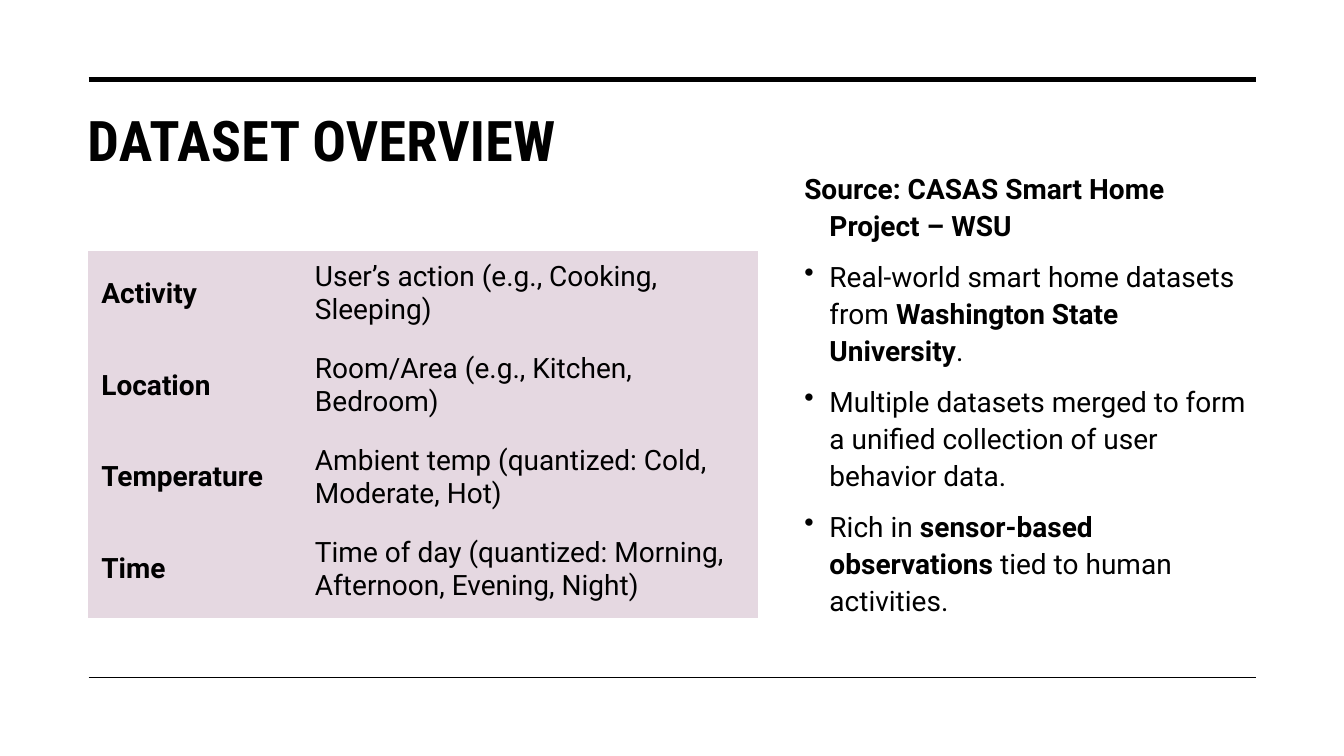
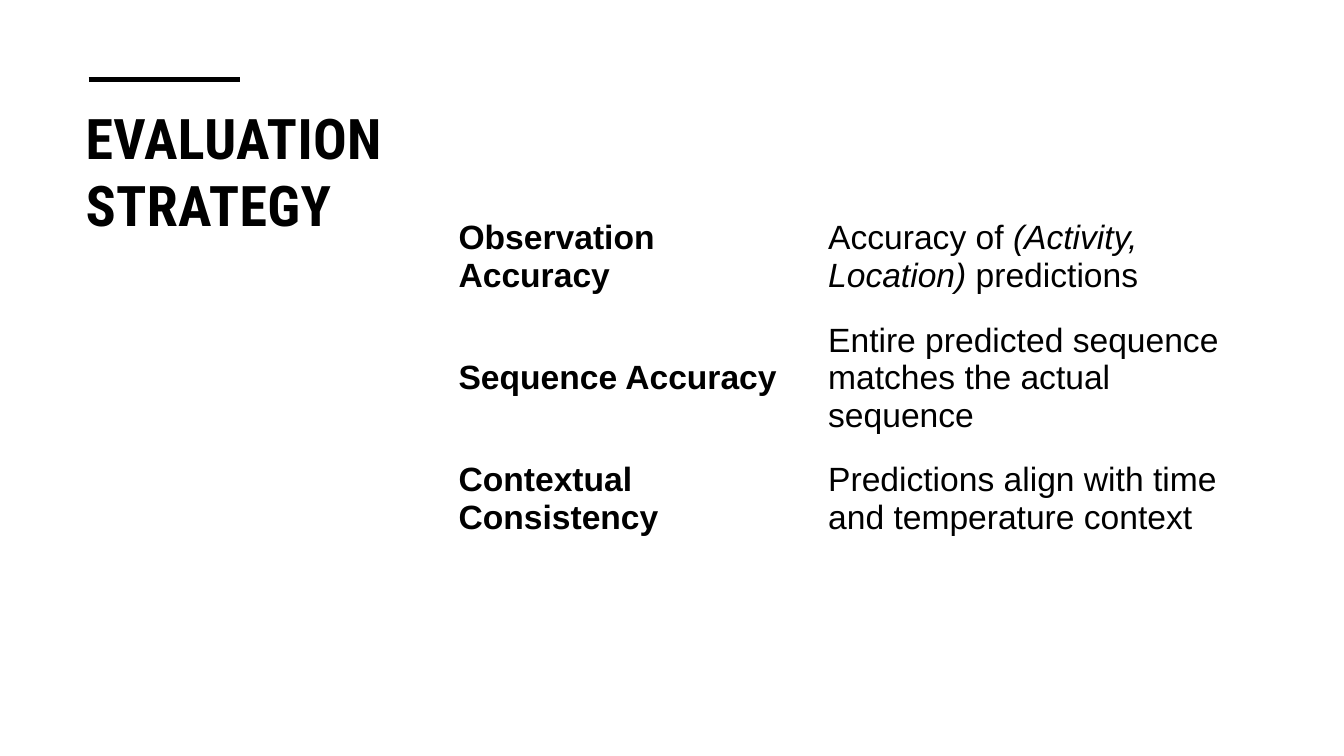
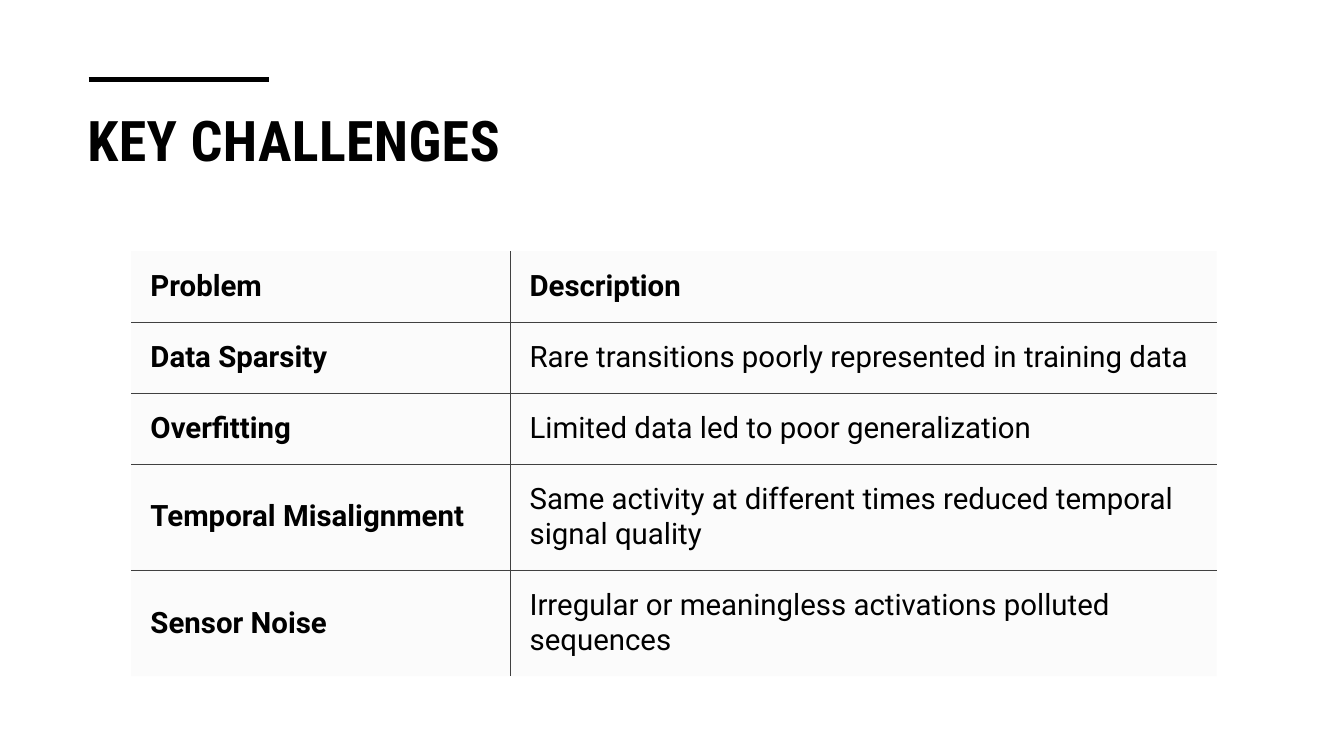
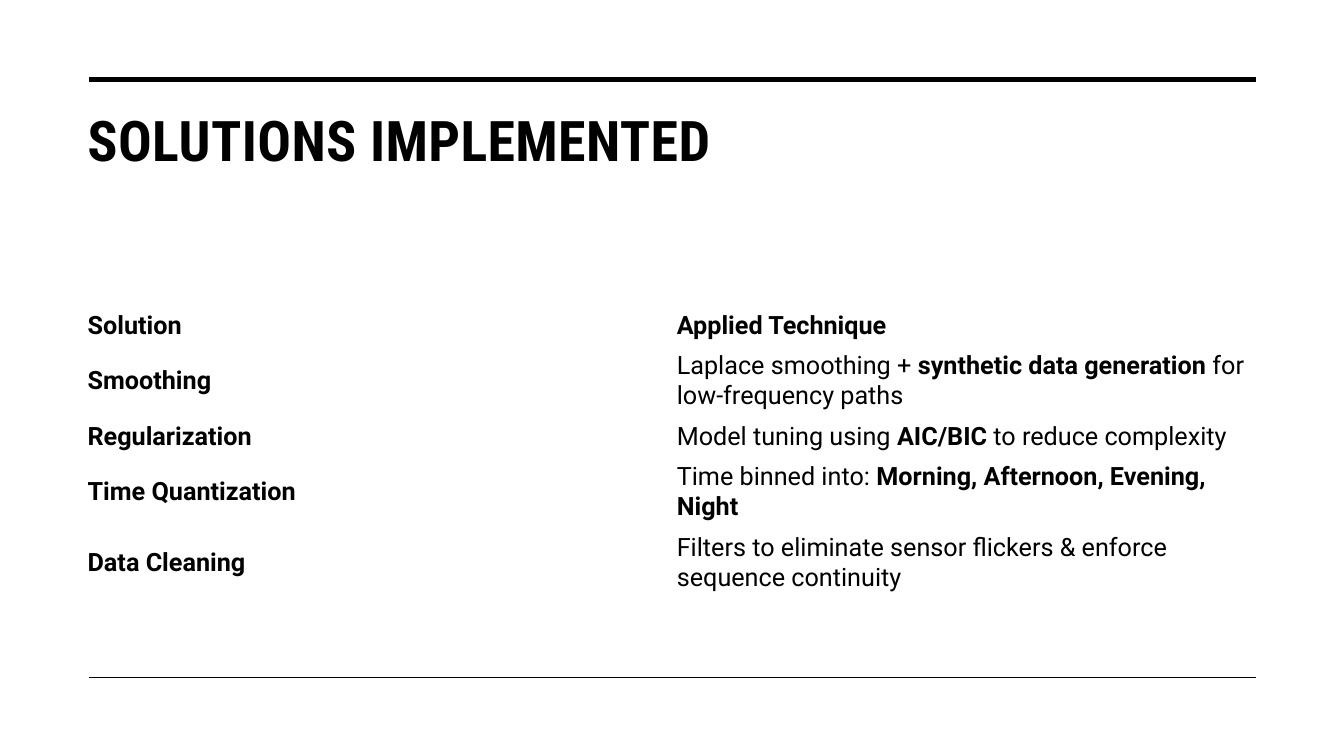
from lxml import etree
from pptx import Presentation
from pptx.dml.color import RGBColor
from pptx.enum import shapes, text
from pptx.oxml import ns
from pptx.util import Pt

# Shared look
BLACK = RGBColor(0x00, 0x00, 0x00)
MAUVE = RGBColor(0xE5, 0xD8, 0xE1)
LIGHT_GREY = RGBColor(0xF2, 0xF2, 0xF2)
GRID_GREY = RGBColor(0x40, 0x40, 0x40)
TITLE_FONT = "Roboto Condensed"
BODY_FONT = "Roboto"
PLAIN_FONT = "Arial"
NO_TABLE_STYLE = "{2D5ABB26-0587-4C30-8999-92F81FD0307C}"

LEFT, RIGHT = 63.4, 897.2
TOP_RULE, BOTTOM_RULE = 56.9, 483.8
TITLE_BOX = (55.4, 72, 841.7, 62.6)


def add_runs(paragraph, runs, font, size):
    """Add (words, style) runs; the style is "", "b" or "i"."""
    for words, style in runs:
        run = paragraph.add_run()
        run.text = words
        run.font.name = font
        run.font.size = Pt(size)
        run.font.color.rgb = BLACK
        run.font.bold = style == "b"
        run.font.italic = style == "i"


def add_rule(slide, right, y, weight):
    rule = slide.shapes.add_connector(
        shapes.MSO_CONNECTOR.STRAIGHT, Pt(LEFT), Pt(y), Pt(right), Pt(y))
    rule.line.color.rgb = BLACK
    rule.line.width = Pt(weight)
    etree.SubElement(rule._element.spPr, ns.qn("a:effectLst"))


def add_text_frame(slide, box):
    frame = slide.shapes.add_textbox(*map(Pt, box)).text_frame
    frame.word_wrap = True
    return frame


def add_titled_slide(presentation, title, rule_right=RIGHT, footer=False,
                     title_box=TITLE_BOX):
    slide = presentation.slides.add_slide(presentation.slide_layouts[6])
    add_rule(slide, rule_right, TOP_RULE, 3.5)
    if footer:
        add_rule(slide, RIGHT, BOTTOM_RULE, 1)
    paragraph = add_text_frame(slide, title_box).paragraphs[0]
    add_runs(paragraph, [(title, "b")], TITLE_FONT, 40)
    paragraph.runs[0]._r.get_or_add_rPr().set("spc", "30")
    return slide


def add_bullets(slide, box, heading, items, size=20):
    """Bold heading and bulleted items, resting on the bottom of the box."""
    frame = add_text_frame(slide, box)
    frame.vertical_anchor = text.MSO_ANCHOR.BOTTOM
    for index, runs in enumerate([heading] + items):
        paragraph = frame.add_paragraph() if index else frame.paragraphs[0]
        paragraph.line_spacing = 1.1
        properties = paragraph._p.get_or_add_pPr()
        properties.set("marL", str(Pt(18)))
        properties.set("indent", str(Pt(-18)))
        if index:
            paragraph.space_before = Pt(10)
            etree.SubElement(properties, ns.qn("a:buChar"), char="•")
        add_runs(paragraph, runs, BODY_FONT, size)


def add_cell_border(cell, side, position):
    line = etree.Element(ns.qn("a:" + side), w=str(Pt(0.5)))
    fill = etree.SubElement(line, ns.qn("a:solidFill"))
    etree.SubElement(fill, ns.qn("a:srgbClr"), val=str(GRID_GREY))
    cell._tc.get_or_add_tcPr().insert(position, line)


def add_inner_borders(cell, row, column, last_row, last_column):
    sides = {"lnL": column > 0, "lnR": column < last_column,
             "lnT": row > 0, "lnB": row < last_row}
    shown = [side for side, inner in sides.items() if inner]
    for position, side in enumerate(shown):
        add_cell_border(cell, side, position)


def add_grid(slide, origin, widths, heights, rows, font, size, insets,
             fill=None, alpha=None, bordered=False):
    """Table whose insets are given as left, top, right, bottom."""
    table = slide.shapes.add_table(
        len(heights), len(widths), Pt(origin[0]), Pt(origin[1]),
        Pt(sum(widths)), Pt(sum(heights))).table
    table.first_row = table.horz_banding = False
    table._tbl.tblPr.find(ns.qn("a:tableStyleId")).text = NO_TABLE_STYLE
    for column, width in zip(table.columns, widths):
        column.width = Pt(width)
    for row, height in zip(table.rows, heights):
        row.height = Pt(height)

    for row_index, row in enumerate(rows):
        for column_index, runs in enumerate(row):
            cell = table.cell(row_index, column_index)
            cell.vertical_anchor = text.MSO_ANCHOR.MIDDLE
            (cell.margin_left, cell.margin_top,
             cell.margin_right, cell.margin_bottom) = map(Pt, insets)
            add_runs(cell.text_frame.paragraphs[0], runs, font, size)
            if fill is None:
                cell.fill.background()
            else:
                cell.fill.solid()
                cell.fill.fore_color.rgb = fill
            if alpha:
                color = cell._tc.tcPr.find(".//" + ns.qn("a:srgbClr"))
                etree.SubElement(color, ns.qn("a:alpha"), val=str(alpha * 1000))
            if bordered:
                add_inner_borders(cell, row_index, column_index,
                                  len(heights) - 1, len(widths) - 1)


def labelled(label, *runs):
    """Table row: a bold label and its description."""
    return [[(label, "b")], list(runs)]


def build_dataset(presentation):
    slide = add_titled_slide(presentation, "DATASET OVERVIEW", footer=True)
    add_bullets(
        slide, (567.4, 118, 329.8, 326),
        [("Source: CASAS Smart Home Project – WSU", "b")],
        [[("Real-world smart home datasets from ", ""),
          ("Washington State University", "b"), (".", "")],
         [("Multiple datasets merged to form a unified collection of user "
           "behavior data.", "")],
         [("Rich in ", ""), ("sensor-based observations", "b"),
          (" tied to human activities.", "")]])
    rows = [
        labelled("Activity", ("User’s action (e.g., Cooking, Sleeping)", "")),
        labelled("Location", ("Room/Area (e.g., Kitchen, Bedroom)", "")),
        labelled("Temperature",
                 ("Ambient temp (quantized: Cold, Moderate, Hot)", "")),
        labelled("Time", ("Time of day (quantized: Morning, Afternoon, "
                          "Evening, Night)", "")),
    ]
    add_grid(slide, (63.2, 179.3), [152.6, 325.4], [65.6] * 4, rows,
             BODY_FONT, 20, (9.2, 4.6, 9.2, 9.2), fill=MAUVE)


def build_evaluation(presentation):
    slide = add_titled_slide(presentation, "EVALUATION STRATEGY",
                             rule_right=171.4, title_box=(54, 70.6, 242, 308))
    rows = [
        labelled("Observation Accuracy", ("Accuracy of ", ""),
                 ("(Activity, Location)", "i"), (" predictions", "")),
        labelled("Sequence Accuracy",
                 ("Entire predicted sequence matches the actual sequence", "")),
        labelled("Contextual Consistency",
                 ("Predictions align with time and temperature context", "")),
    ]
    add_grid(slide, (318.2, 147.6), [264, 315.2], [72, 100.8, 72], rows,
             PLAIN_FONT, 24, (9.4, 4.8, 9.4, 4.8))


def build_challenges(presentation):
    slide = add_titled_slide(presentation, "KEY CHALLENGES", rule_right=192.2)
    rows = [
        labelled("Problem", ("Description", "b")),
        labelled("Data Sparsity",
                 ("Rare transitions poorly represented in training data", "")),
        labelled("Overfitting",
                 ("Limited data led to poor generalization", "")),
        labelled("Temporal Misalignment",
                 ("Same activity at different times reduced temporal signal "
                  "quality", "")),
        labelled("Sensor Noise",
                 ("Irregular or meaningless activations polluted sequences",
                  "")),
    ]
    add_grid(slide, (93.6, 179.3), [270.8, 504.7], [50.7] * 3 + [75.8] * 2,
             rows, BODY_FONT, 21, (13.9, 10.8, 10.8, 10.8),
             fill=LIGHT_GREY, alpha=30, bordered=True)


def build_solutions(presentation):
    slide = add_titled_slide(presentation, "SOLUTIONS IMPLEMENTED", footer=True)
    rows = [
        labelled("Solution", ("Applied Technique", "b")),
        labelled("Smoothing", ("Laplace smoothing + ", ""),
                 ("synthetic data generation", "b"),
                 (" for low-frequency paths", "")),
        labelled("Regularization", ("Model tuning using ", ""),
                 ("AIC/BIC", "b"), (" to reduce complexity", "")),
        labelled("Time Quantization", ("Time binned into: ", ""),
                 ("Morning, Afternoon, Evening, Night", "b")),
        labelled("Data Cleaning",
                 ("Filters to eliminate sensor flickers & enforce sequence "
                  "continuity", "")),
    ]
    one_line, two_lines = 28.3, 49.4
    add_grid(slide, (55.4, 218.2), [420.9] * 2,
             [one_line, two_lines, one_line, two_lines, two_lines], rows,
             BODY_FONT, 18, (7.2, 3.6, 7.2, 3.6))


def main():
    presentation = Presentation()
    presentation.slide_width = Pt(960)
    presentation.slide_height = Pt(540)
    for build in (build_dataset, build_evaluation,
                  build_challenges, build_solutions):
        build(presentation)
    presentation.save("out.pptx")


if __name__ == "__main__":
    main()
